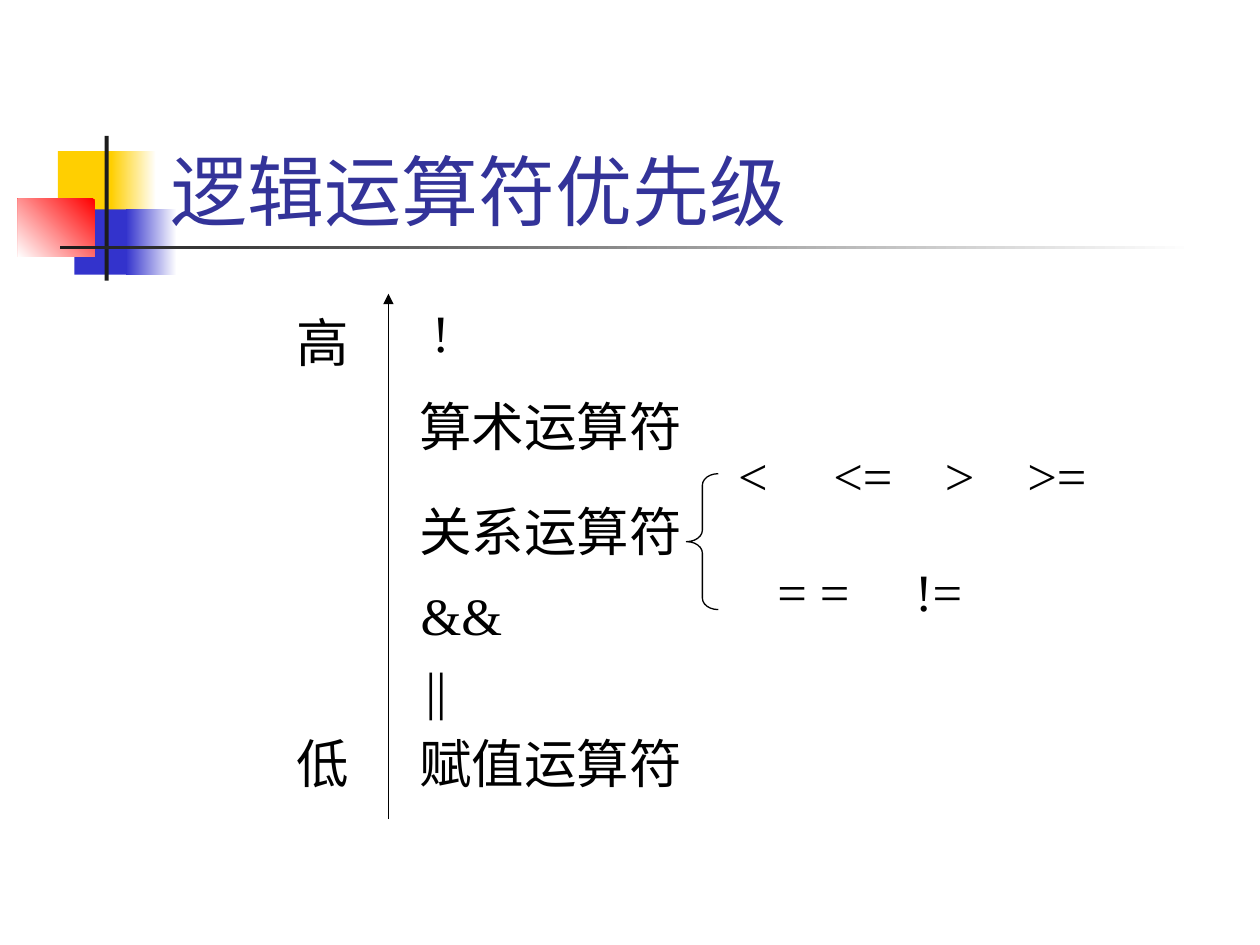
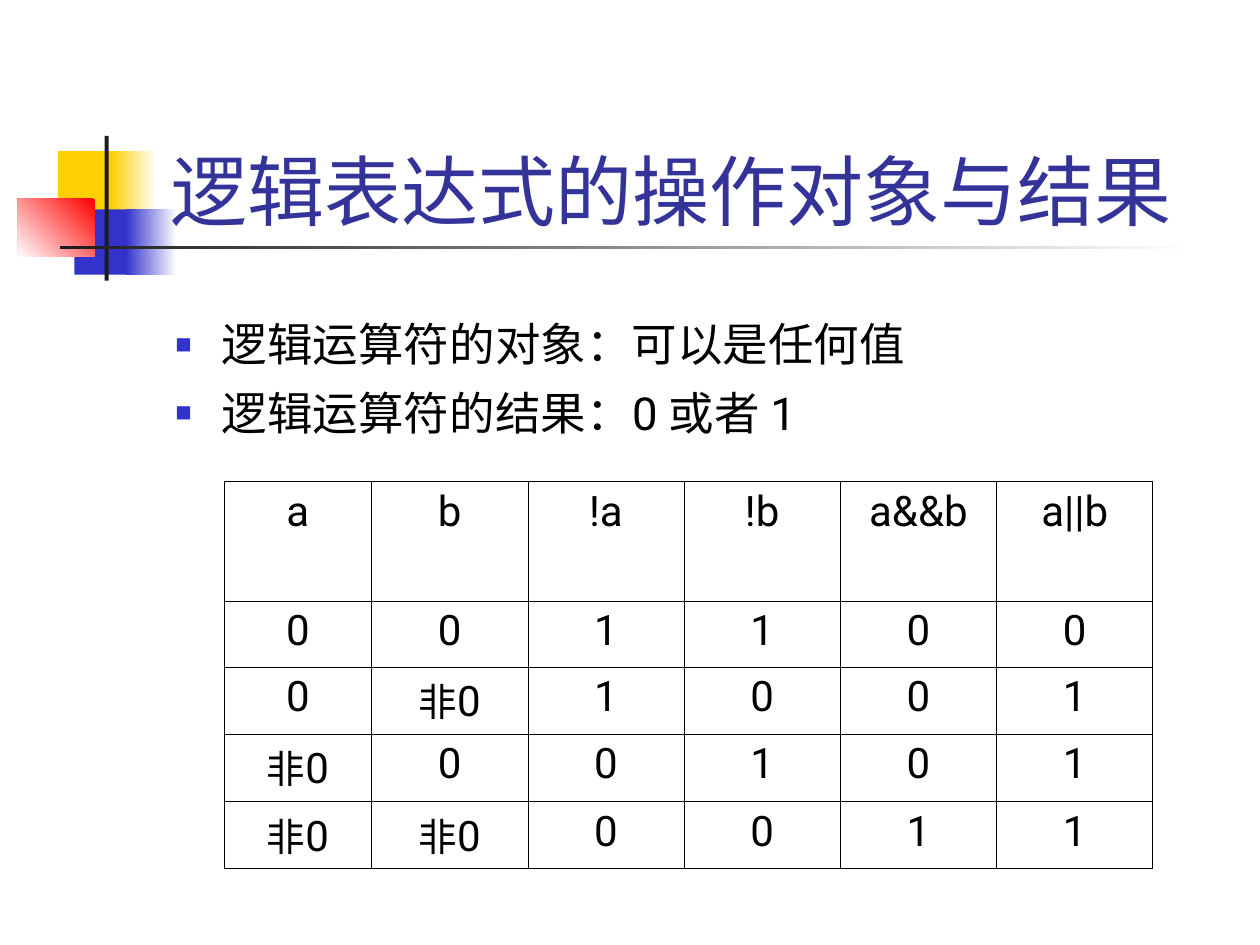
"""Build two slides on the precedence and results of logical operators."""
from dataclasses import dataclass

from lxml.etree import SubElement
from pptx import Presentation
from pptx.dml.color import RGBColor
from pptx.enum.shapes import MSO_CONNECTOR, MSO_SHAPE
from pptx.enum.text import MSO_ANCHOR, MSO_AUTO_SIZE, PP_ALIGN
from pptx.oxml.ns import qn
from pptx.util import Cm, Pt

WHITE = RGBColor(0xFF, 0xFF, 0xFF)
BLACK = RGBColor(0, 0, 0)
YELLOW = RGBColor(0xFF, 0xCF, 0x01)
BLUE = RGBColor(0x33, 0x33, 0xCC)
RED = RGBColor(0xFF, 0, 0)
CHARCOAL = RGBColor(0x1C, 0x1C, 0x1C)
TITLE_BLUE = RGBColor(0x33, 0x33, 0x99)
SANS = "Roboto"
SERIF = "Times New Roman"


@dataclass(frozen=True)
class Band:
    """A bar of the title ornament, fading from colour to fade if set."""
    left: float
    top: float
    width: float
    height: float
    colour: RGBColor
    fade: RGBColor | None = None
    angle: float = 180


@dataclass(frozen=True)
class Label:
    """A line of text with optional tab stops, in centimetres."""
    text: str
    left: float
    top: float
    width: float
    tabs: tuple[float, ...] = ()


BANDS = (
    Band(1.17, 3.05, 1.22, 1.32, YELLOW),
    Band(2.24, 3.05, 0.91, 1.32, WHITE, YELLOW),
    Band(1.5, 4.22, 1.17, 1.32, BLUE),
    Band(2.54, 4.22, 1.02, 1.32, WHITE, BLUE),
    Band(0.36, 4.01, 1.55, 1.17, RED, WHITE, 225),
    Band(2.11, 2.74, 0.08, 2.92, CHARCOAL),
    Band(1.22, 4.95, 22.86, 0.08, WHITE, CHARCOAL),
)
LABELS = (
    Label("高", 5.72, 6.12, 1.55),
    Label("低", 5.72, 14.61, 1.55),
    Label("!", 8.46, 5.92, 0.86),
    Label("算术运算符", 8.2, 7.82, 5.79),
    Label("关系运算符", 8.2, 9.93, 5.79),
    Label("&&", 8.23, 11.63, 2.16),
    Label("||", 8.33, 13.13, 0.91),
    Label("赋值运算符", 8.2, 14.61, 5.79),
    Label("<\t<=\t>\t>=", 14.63, 8.81, 7.52, (1.92, 4.17, 5.83)),
    Label("= =\t!=", 15.42, 11.15, 4.24, (2.78,)),
)
BULLETS = ("逻辑运算符的对象：可以是任何值", "逻辑运算符的结果：0 或者 1")
TRUTH_TABLE = (
    ("a", "b", "!a", "!b", "a&&b", "a||b"),
    ("0", "0", "1", "1", "0", "0"),
    ("0", "非0", "1", "0", "0", "1"),
    ("非0", "0", "0", "1", "0", "1"),
    ("非0", "非0", "0", "0", "1", "1"),
)
COL_WIDTHS = (2.97,) + (3.15,) * 5
ROW_HEIGHTS = (2.41,) + (1.33,) * 4


def style_run(r, size: float, name: str, colour: RGBColor = BLACK) -> None:
    """Give a run its font, size and colour."""
    r.font.size = Pt(size)
    r.font.name = name
    r.font.color.rgb = colour


def place(sp, left: float, top: float, width: float, height: float) -> None:
    """Move and size a shape in centimetres."""
    sp.left, sp.top, sp.width, sp.height = map(Cm, (left, top, width, height))


def add_band(s, band: Band, layer: int) -> None:
    """Draw an ornament bar behind the placeholders."""
    sp = s.shapes.add_shape(
        MSO_SHAPE.RECTANGLE, Cm(band.left), Cm(band.top), Cm(band.width), Cm(band.height))
    sp.shadow.inherit = False
    sp.line.fill.background()
    if band.fade is None:
        sp.fill.solid()
        sp.fill.fore_color.rgb = band.colour
    else:
        sp.fill.gradient()
        sp.fill.gradient_angle = band.angle
        for stop, colour in zip(sp.fill.gradient_stops, (band.colour, band.fade)):
            stop.color.rgb = colour
    s.shapes.element.insert(2 + layer, sp.element)


def add_slide(prs, layout: int, title: str):
    """Add a slide with the shared ornament and title style."""
    s = prs.slides.add_slide(prs.slide_layouts[layout])
    for layer, band in enumerate(BANDS):
        add_band(s, band, layer)
    place(s.shapes.title, 3.19, 1.71, 21.6, 3.18)
    tf = s.shapes.title.text_frame
    tf.text = title
    tf.auto_size = MSO_AUTO_SIZE.NONE
    tf.vertical_anchor = MSO_ANCHOR.BOTTOM
    p = tf.paragraphs[0]
    p.alignment = PP_ALIGN.LEFT
    style_run(p.runs[0], 44, SANS, TITLE_BLUE)
    return s


def add_label(s, label: Label) -> None:
    """Add one operator label."""
    sp = s.shapes.add_textbox(Cm(label.left), Cm(label.top), Cm(label.width), Cm(1.52))
    tf = sp.text_frame
    tf.word_wrap = True
    tf.margin_right = 0
    p = tf.paragraphs[0]
    if label.tabs:
        tab_list = SubElement(p._p.get_or_add_pPr(), qn("a:tabLst"))
        for pos in label.tabs:
            SubElement(tab_list, qn("a:tab"), pos=str(Cm(pos)), algn="l")
    p.text = label.text
    style_run(p.runs[0], 30, SERIF)


def add_priority_arrow(s) -> None:
    """Draw the arrow from low to high precedence."""
    line = s.shapes.add_connector(
        MSO_CONNECTOR.STRAIGHT, Cm(7.83), Cm(16.51), Cm(7.83), Cm(5.92))
    line.line.color.rgb = BLACK
    line.line.width = Pt(0.75)
    SubElement(line.line._get_or_add_ln(), qn("a:tailEnd"), type="triangle")
    SubElement(line.element.spPr, qn("a:effectLst"))


def add_brace(s) -> None:
    """Draw the brace that groups the relational operators."""
    sp = s.shapes.add_shape(MSO_SHAPE.LEFT_BRACE, Cm(13.84), Cm(9.55), Cm(0.64), Cm(2.74))
    sp.adjustments[0] = 0.36
    sp.shadow.inherit = False
    sp.fill.background()
    sp.line.color.rgb = BLACK
    sp.line.width = Pt(0.75)


def fill_bullets(body) -> None:
    """Fill the body placeholder with square bullets."""
    place(body, 3.28, 6.25, 21.59, 3.38)
    tf = body.text_frame
    tf.text = "\n".join(BULLETS)
    tf.auto_size = MSO_AUTO_SIZE.NONE
    for i, p in enumerate(tf.paragraphs):
        pPr = p._p.get_or_add_pPr()
        pPr.set("marL", str(Cm(0.94)))
        pPr.set("indent", str(-Cm(0.94)))
        SubElement(SubElement(pPr, qn("a:buClr")), qn("a:srgbClr"), val=str(BLUE))
        SubElement(pPr, qn("a:buSzPct"), val="60000")
        SubElement(pPr, qn("a:buChar"), char="■")
        p.space_before = Pt(8 if i else 0)
        style_run(p.runs[0], 26, SANS)


def set_borders(cell, outer: dict[str, bool]) -> None:
    """Draw the cell borders, heavier on the outside of the table."""
    tcPr = cell._tc.get_or_add_tcPr()
    for i, (side, is_outer) in enumerate(outer.items()):
        ln = SubElement(tcPr, qn(f"a:ln{side}"), w=str(Pt(0.5 if is_outer else 0.23)))
        SubElement(SubElement(ln, qn("a:solidFill")), qn("a:srgbClr"), val=str(BLACK))
        tcPr.insert(i, ln)


def add_truth_table(s) -> None:
    """Add the truth table of the logical operators."""
    rows, cols = len(ROW_HEIGHTS), len(COL_WIDTHS)
    table = s.shapes.add_table(
        rows, cols, Cm(4.52), Cm(9.7), Cm(sum(COL_WIDTHS)), Cm(sum(ROW_HEIGHTS))).table
    table.first_row = table.horz_banding = False
    for col, width in zip(table.columns, COL_WIDTHS):
        col.width = Cm(width)
    for row, height in zip(table.rows, ROW_HEIGHTS):
        row.height = Cm(height)
    for i, values in enumerate(TRUTH_TABLE):
        for j, value in enumerate(values):
            cell = table.cell(i, j)
            cell.fill.background()
            set_borders(cell, {"L": j == 0, "R": j == cols - 1, "T": i == 0, "B": i == rows - 1})
            p = cell.text_frame.paragraphs[0]
            p.alignment = PP_ALIGN.CENTER
            p.line_spacing = 0.98
            for part in filter(None, value.partition("非")):
                r = p.add_run()
                r.text = part
                style_run(r, 22 if part == "非" else 24, SANS)


def main() -> None:
    """Build and save the presentation."""
    prs = Presentation()
    prs.slide_width, prs.slide_height = Cm(25.4), Cm(19.05)

    s = add_slide(prs, 5, "逻辑运算符优先级")
    for label in LABELS:
        add_label(s, label)
    add_priority_arrow(s)
    add_brace(s)

    s = add_slide(prs, 1, "逻辑表达式的操作对象与结果")
    fill_bullets(s.placeholders[1])
    add_truth_table(s)

    prs.save("out.pptx")


if __name__ == "__main__":
    main()
